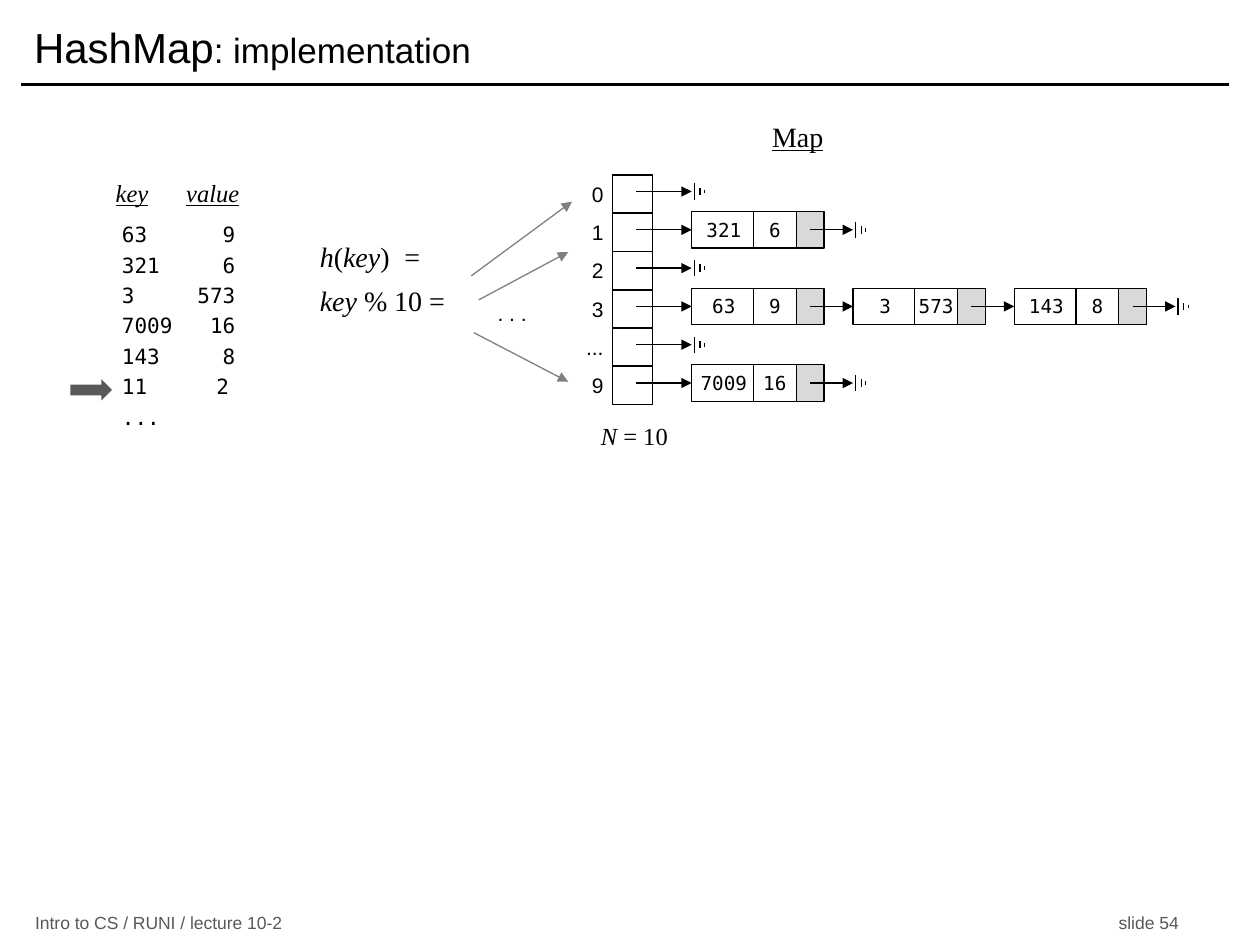
from lxml.etree import SubElement
from pptx import Presentation
from pptx.dml.color import RGBColor
from pptx.enum.shapes import MSO_CONNECTOR, MSO_SHAPE
from pptx.enum.text import MSO_ANCHOR as ANCHOR, PP_ALIGN as ALIGN
from pptx.oxml.ns import qn
from pptx.util import Emu, Inches, Pt

BLACK = RGBColor(0x00, 0x00, 0x00)
WHITE = RGBColor(0xFF, 0xFF, 0xFF)
DARK = RGBColor(0x59, 0x59, 0x59)
MID = RGBColor(0x80, 0x80, 0x80)
LIGHT = RGBColor(0xD9, 0xD9, 0xD9)
SANS, SERIF, MONO = "Arial", "Times New Roman", "DejaVu Sans Mono"

# Grid of the map, in inches: one row per bucket, one column per node
ROW_0, ROW_STEP = 1.52, 0.304
NODE_0, NODE_STEP, NODE_H = 5.49, 1.28, 0.29
BUCKET_X, BUCKET_W = 4.86, 0.32

BUCKETS = [
    ("0", []),
    ("1", [("321", "6")]),
    ("2", []),
    ("3", [("63", "9"), ("3", "573"), ("143", "8")]),
    ("...", []),
    ("9", [("7009", "16")]),
]
# Key, value and the right edge of the value
ENTRIES = [("63", "9", 0.9), ("321", "6", 0.9), ("3", "573", 0.9),
           ("7009", "16", 0.9), ("143", "8", 0.9), ("11", "2", 0.85)]


def add_paragraph(tf, runs, first=False, tab=None, **formats):
    """Add runs of (text, font formats); tab is (position, alignment)."""
    p = tf.paragraphs[0] if first else tf.add_paragraph()
    for name, value in formats.items():
        setattr(p, name, value)
    if tab:
        tabs = SubElement(p._p.get_or_add_pPr(), qn("a:tabLst"))
        SubElement(tabs, qn("a:tab"), pos=str(Inches(tab[0])), algn=tab[1])
    for text, font in runs:
        r = p.add_run()
        r.text = text
        font = {"color": BLACK, **font}
        r.font.color.rgb = font.pop("color")
        for name, value in font.items():
            setattr(r.font, name, value)


def set_frame(tf, insets=(0.1, 0.05, 0.1, 0.05), anchor=ANCHOR.TOP):
    tf.word_wrap = True
    tf.vertical_anchor = anchor
    for side, inset in zip(("left", "top", "right", "bottom"), insets):
        setattr(tf, f"margin_{side}", Inches(inset))
    return tf


def add_text(s, box, **frame):
    return set_frame(s.shapes.add_textbox(*map(Inches, box)).text_frame, **frame)


def add_box(s, box, fill=None, line=BLACK, text=None, kind=MSO_SHAPE.RECTANGLE):
    sp = s.shapes.add_shape(kind, *map(Inches, box))
    sp.shadow.inherit = False
    if fill is None:
        sp.fill.background()
    else:
        sp.fill.solid()
        sp.fill.fore_color.rgb = fill
    if line is None:
        sp.line.fill.background()
    else:
        sp.line.color.rgb = line
        sp.line.width = Pt(0.75)
    if text:
        tf = set_frame(sp.text_frame, insets=(0, 0.05, 0, 0.05))
        add_paragraph(tf, [(text, {"name": MONO, "size": Pt(11)})], first=True,
                      alignment=ALIGN.CENTER)
    return sp


def add_line(s, start, end, color=BLACK, width=0.75, arrow=False):
    c = s.shapes.add_connector(MSO_CONNECTOR.STRAIGHT, *map(Inches, (*start, *end)))
    c.line.color.rgb = color
    c.line.width = Pt(width)
    if arrow:
        SubElement(c.line._get_or_add_ln(), qn("a:tailEnd"), type="triangle")
    SubElement(c._element.spPr, qn("a:effectLst"))
    return c


def add_ground(s, x, y):
    """Null pointer: three shrinking bars centred on y."""
    for dx, height in ((0, 0.13), (0.045, 0.06), (0.08, 0.03)):
        add_line(s, (x + dx, y - height / 2), (x + dx, y + height / 2))


def add_node(s, x, y, key, value):
    """Draw a list node; return its key cell and its outgoing arrow."""
    top = y - NODE_H / 2
    key_cell = add_box(s, (x, top, 0.51, NODE_H), text=key)
    add_box(s, (x + 0.82, top, 0.23, NODE_H), fill=LIGHT)
    arrow = add_line(s, (x + 0.94, y), (x + NODE_STEP, y), arrow=True)
    add_box(s, (x + 0.49, top, 0.34, NODE_H), fill=WHITE, text=value)
    return key_cell, arrow


def add_bucket(s, row, label, nodes):
    y = ROW_0 + row * ROW_STEP
    top = y - 0.13
    add_box(s, (BUCKET_X, top, BUCKET_W, 0.3))
    tf = add_text(s, (BUCKET_X - 0.49, top, 0.5, 0.3), insets=(0, 0.05, 0.08, 0.05))
    add_paragraph(tf, [(label, {"name": SANS, "size": Pt(12)})], first=True,
                  alignment=ALIGN.RIGHT)
    arrow = add_line(s, (BUCKET_X + 0.19, y), (NODE_0, y), arrow=True)
    for col, (key, value) in enumerate(nodes):
        key_cell, next_arrow = add_node(s, NODE_0 + col * NODE_STEP, y, key, value)
        arrow.end_connect(key_cell, 1)
        arrow = next_arrow
    add_ground(s, NODE_0 + len(nodes) * NODE_STEP + 0.02, y)


def add_frame(s):
    """Title, rule and footer."""
    title = s.shapes.title
    title.left, title.top, title.width, title.height = map(
        Inches, (0.17, 0.08, 9.58, 0.58))
    tf = set_frame(title.text_frame, anchor=ANCHOR.MIDDLE)
    add_paragraph(tf, [("HashMap", {"name": SANS, "size": Pt(24)}),
                       (": implementation", {"name": SANS, "size": Pt(20)})],
                  first=True, alignment=ALIGN.LEFT)
    add_line(s, (0.17, 0.67), (9.75, 0.67), width=2)
    tf = add_text(s, (0.18, 7.23, 9.42, 0.19), anchor=ANCHOR.MIDDLE)
    add_paragraph(tf, [("Intro to CS / RUNI / lecture 10-2\tslide 54",
                        {"name": SANS, "size": Pt(10), "color": DARK})],
                  first=True, tab=(8.6, "l"))


def add_entries(s):
    """List of keys and values with its pointer."""
    head = {"name": SERIF, "size": Pt(14), "italic": True}
    under = {**head, "underline": True}
    tf = add_text(s, (0.82, 1.41, 3.17, 0.33))
    add_paragraph(tf, [("key", under), ("\t", head), ("value", under)],
                  first=True, tab=(0.56, "l"), line_spacing=0.8)
    mono = {"name": MONO, "size": Pt(12)}
    tf = add_text(s, (0.87, 1.71, 2.63, 2.44))
    for i, (key, value, edge) in enumerate(ENTRIES):
        add_paragraph(tf, [(f"{key}\t{value}", mono)], first=i == 0,
                      tab=(edge, "r"), space_before=Pt(3 if i else 0))
    add_paragraph(tf, [("...", mono)], space_before=Pt(3))
    add_box(s, (0.56, 3.01, 0.33, 0.17), fill=DARK, line=None,
            kind=MSO_SHAPE.RIGHT_ARROW)


def add_hash(s):
    """Hash function and its arrows to the buckets."""
    plain = {"name": SERIF, "size": Pt(16)}
    italic = {**plain, "italic": True}
    tf = add_text(s, (2.44, 1.85, 1.25, 0.72))
    add_paragraph(tf, [("h", italic), ("(", plain), ("key", italic), (")\t=", plain)],
                  first=True, tab=(0.67, "l"))
    add_paragraph(tf, [("key", italic), (" % 10 =", plain)], space_before=Pt(6))
    for start, end in (((3.74, 2.19), (4.54, 1.6)), ((3.8, 2.38), (4.51, 2)),
                       ((3.76, 2.64), (4.51, 3.03))):
        add_line(s, start, end, color=MID, arrow=True)
    tf = add_text(s, (3.76, 2.34, 0.5, 0.3), insets=(0, 0.05, 0.08, 0.05))
    add_paragraph(tf, [(". . .", {"name": SANS, "size": Pt(12)})], first=True,
                  alignment=ALIGN.RIGHT)


def add_map(s):
    """Buckets with their chains, heading and size."""
    for row, (label, nodes) in enumerate(BUCKETS):
        add_bucket(s, row, label, nodes)
    tf = add_text(s, (6.03, 0.95, 0.86, 0.33))
    add_paragraph(tf, [("Map", {"name": SERIF, "size": Pt(16), "underline": True})],
                  first=True, line_spacing=0.8)
    size = {"name": SERIF, "size": Pt(14)}
    tf = add_text(s, (4.67, 3.29, 1.64, 0.34))
    add_paragraph(tf, [("N", {**size, "italic": True}), (" = 10", size)], first=True)


def main():
    prs = Presentation()
    prs.slide_width, prs.slide_height = Inches(10), Inches(7.5)
    s = prs.slides.add_slide(prs.slide_layouts[5])
    add_frame(s)
    add_entries(s)
    add_hash(s)
    add_map(s)
    prs.save("out.pptx")


if __name__ == "__main__":
    main()
